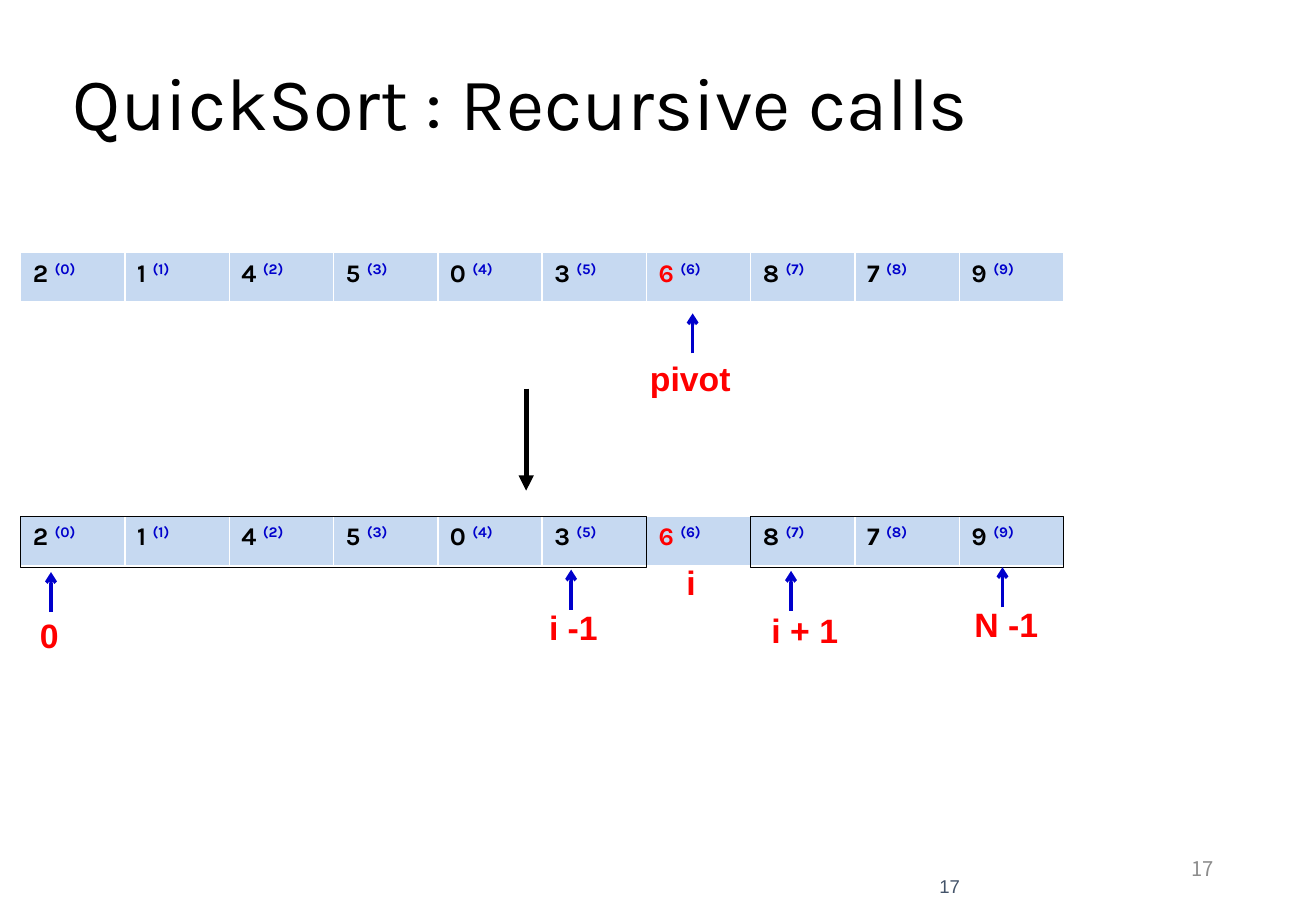
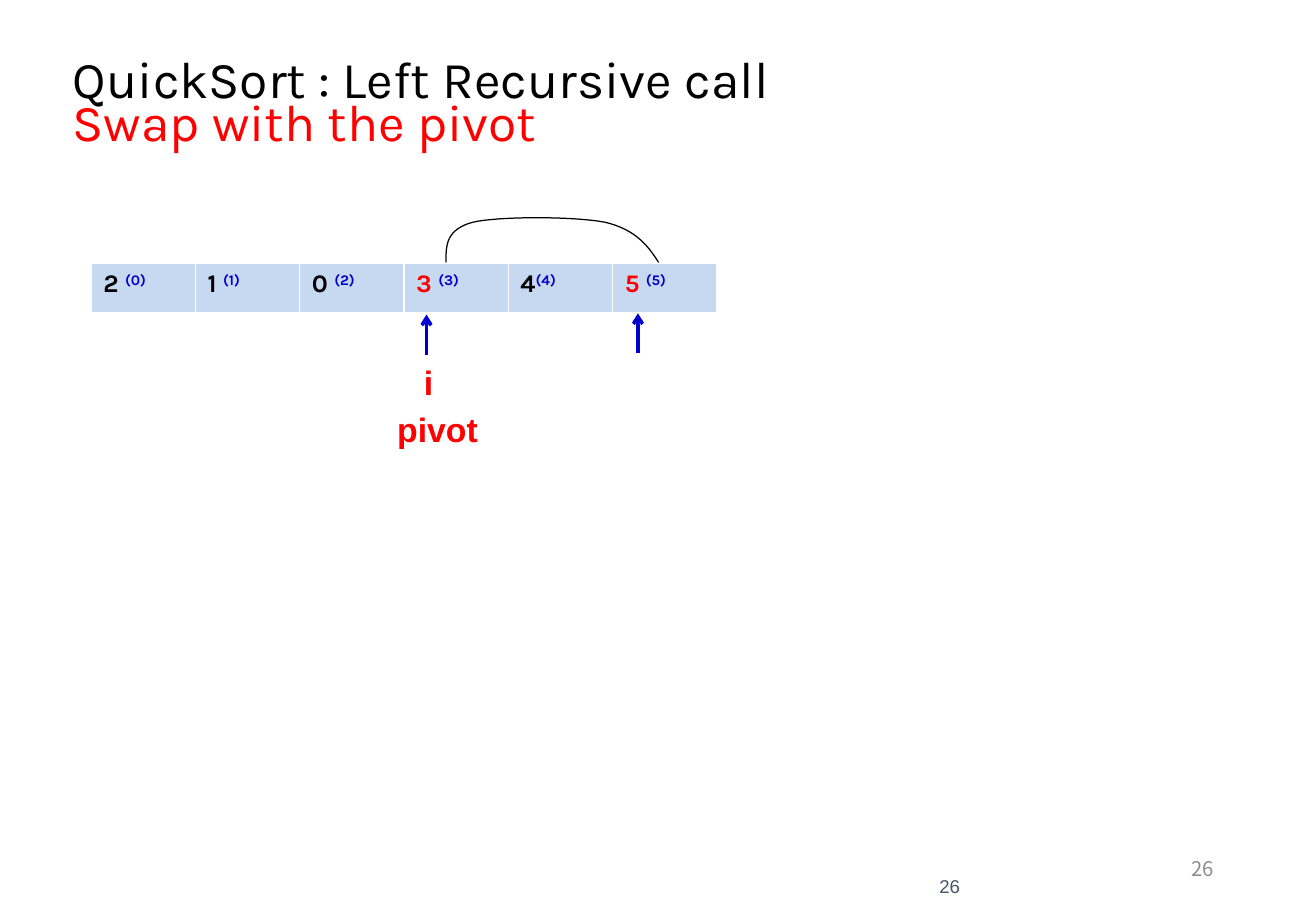
from dataclasses import dataclass

from lxml.etree import SubElement
from pptx import Presentation
from pptx.dml.color import RGBColor
from pptx.enum.shapes import MSO_CONNECTOR as Connector, MSO_SHAPE as Shape
from pptx.enum.text import MSO_ANCHOR as Anchor, MSO_AUTO_SIZE as AutoSize, PP_ALIGN as Align
from pptx.oxml import parse_xml
from pptx.oxml.ns import nsdecls, qn
from pptx.util import Inches, Pt


@dataclass(frozen=True)
class Theme:
    ink: str = "000000"
    accent: str = "FF0000"
    pointer: str = "0000CC"
    cell: str = "C6D9F1"
    border: str = "FFFFFF"
    page: str = "8C8C8C"
    footer: str = "44546A"
    heading_font: str = "Karla"
    label_font: str = "Arial"
    page_font: str = "Noto Sans CJK SC"
    cell_size: float = 15
    label_size: float = 20
    page_size: float = 12
    footer_size: float = 11
    outline: float = 0.75


THEME = Theme()
WIDTH, HEIGHT = 10.83, 7.5
COLUMN, ROW = 5.15 / 6, 0.42
POINTER_LENGTH = 0.33
LABEL_HEIGHT = 0.43
CURVE_STEPS = 16

# Arrays: left, top, cell values, red cells, outlined column ranges.
# Pointers: x, tip. Labels: text, left, top, width.
PARTITIONED = ["2 ", "1 ", "4 ", "5 ", "0 ", "3 ", "6 ", "8 ", "7 ", "9 "]
SLIDES = [
    {
        "number": 17,
        "title": [("QuickSort : Recursive calls", THEME.ink)],
        "title_size": 44,
        "title_spacing": 0.9,
        "arrays": [
            (0.17, 2.08, PARTITIONED, {6}, []),
            (0.17, 4.25, PARTITIONED, {6}, [(0, 6), (7, 10)]),
        ],
        "pointers": [(5.7, 2.58), (0.42, 4.71), (4.7, 4.69), (6.51, 4.7), (8.25, 4.67)],
        "labels": [
            ("pivot", 5.25, 2.9, 0.95),
            ("0", 0.23, 5.01, 0.36),
            ("i -1", 4.42, 4.95, 0.6),
            ("i", 5.55, 4.58, 0.28),
            ("i + 1", 6.25, 4.97, 0.75),
            ("N -1", 7.92, 4.92, 0.73),
        ],
        "steps": [((4.33, 3.2), (4.33, 4.04))],
        "swaps": [],
    },
    {
        "number": 26,
        "title": [("QuickSort : Left Recursive call", THEME.ink),
                  ("Swap with the pivot", THEME.accent)],
        "title_size": 30.6,
        "title_spacing": 0.7,
        "arrays": [(0.75, 2.17, ["2 ", "1 ", "0 ", "3 ", "4", "5 "], {3, 5}, [])],
        "pointers": [(3.51, 2.59), (5.25, 2.58)],
        "labels": [("i", 3.39, 2.93, 0.28), ("pivot", 3.17, 3.32, 0.95)],
        "steps": [],
        "swaps": [[
            ((5.42, 2.16), (5.33, 2.02), (5.23, 1.89), (4.98, 1.83)),
            ((4.98, 1.83), (4.72, 1.78), (4.1, 1.78), (3.89, 1.83)),
            ((3.89, 1.83), (3.67, 1.89), (3.67, 2.02), (3.67, 2.16)),
        ]],
    },
]


def rgb(color):
    return RGBColor.from_string(color)


def add_run(paragraph, text, *, font, size, color, bold=False, raised=False):
    run = paragraph.add_run()
    run.text = text
    run.font.name, run.font.size, run.font.bold = font, Pt(size), bold
    run.font.color.rgb = rgb(color)
    if raised:
        run.font._element.set("baseline", "30000")


def add_text(slide, lines, box, *, font, size, bold=False, align=Align.LEFT,
             anchor=Anchor.MIDDLE, spacing=None, wrap=True):
    """Write (text, color) lines as one paragraph with line breaks."""
    frame = slide.shapes.add_textbox(*map(Inches, box)).text_frame
    frame.word_wrap = wrap
    frame.auto_size = AutoSize.NONE if wrap else AutoSize.SHAPE_TO_FIT_TEXT
    frame.vertical_anchor = anchor
    paragraph = frame.paragraphs[0]
    paragraph.alignment = align
    if spacing:
        paragraph.line_spacing = spacing
    for index, (text, color) in enumerate(lines):
        if index:
            paragraph.add_line_break()
        add_run(paragraph, text, font=font, size=size, color=color, bold=bold)


def add_arrow(slide, start, end, color, width, head):
    arrow = slide.shapes.add_connector(
        Connector.STRAIGHT, *map(Inches, (*start, *end)))
    arrow.line.color.rgb = rgb(color)
    arrow.line.width = Pt(width)
    SubElement(arrow.line._get_or_add_ln(), qn("a:tailEnd"), type=head)
    SubElement(arrow._element.spPr, qn("a:effectLst"))


def outline_only(shape):
    shape.shadow.inherit = False
    shape.fill.background()
    shape.line.color.rgb = rgb(THEME.ink)
    shape.line.width = Pt(THEME.outline)


def set_borders(cell):
    properties = cell._tc.get_or_add_tcPr()
    for index, (side, width) in enumerate([("L", 1), ("R", 1), ("T", 1), ("B", 3)]):
        properties.insert(index, parse_xml(
            f'<a:ln{side} {nsdecls("a")} w="{Pt(width)}"><a:solidFill>'
            f'<a:srgbClr val="{THEME.border}"/></a:solidFill></a:ln{side}>'))


def add_array(slide, left, top, values, red, ranges):
    table = slide.shapes.add_table(
        1, len(values), *map(Inches, (left, top, COLUMN * len(values), ROW))).table
    table.first_row = table.horz_banding = False
    for index, value in enumerate(values):
        table.columns[index].width = Inches(COLUMN)
        cell = table.cell(0, index)
        cell.margin_left = cell.margin_right = Inches(0.1)
        cell.fill.solid()
        cell.fill.fore_color.rgb = rgb(THEME.cell)
        set_borders(cell)
        style = {"font": THEME.heading_font, "size": THEME.cell_size, "bold": True}
        paragraph = cell.text_frame.paragraphs[0]
        add_run(paragraph, value, color=THEME.accent if index in red else THEME.ink, **style)
        add_run(paragraph, f"({index})", color=THEME.pointer, raised=True, **style)
    for first, end in ranges:
        outline_only(slide.shapes.add_shape(Shape.RECTANGLE, *map(
            Inches, (left + first * COLUMN, top, (end - first) * COLUMN, ROW))))


def curve_point(controls, t):
    weights = ((1 - t) ** 3, 3 * t * (1 - t) ** 2, 3 * t * t * (1 - t), t ** 3)
    return tuple(Inches(sum(w * p[axis] for w, p in zip(weights, controls)))
                 for axis in (0, 1))


def add_swap(slide, curves):
    points = [curve_point(controls, step / CURVE_STEPS)
              for controls in curves for step in range(1, CURVE_STEPS + 1)]
    builder = slide.shapes.build_freeform(*curve_point(curves[0], 0))
    builder.add_line_segments(points, close=False)
    outline_only(builder.convert_to_shape())


def add_frame(slide, content):
    """Add the title and both page numbers."""
    add_text(slide, content["title"], (0.5, 0.42, 7.92, 0.92), font=THEME.heading_font,
             size=content["title_size"], spacing=content["title_spacing"])
    number = str(content["number"])
    add_text(slide, [(number, THEME.page)], (7.65, 6.95, 2.44, 0.4),
             font=THEME.page_font, size=THEME.page_size, align=Align.RIGHT)
    add_text(slide, [(number, THEME.footer)], (7.36, 7.17, 0.64, 0.25),
             font=THEME.label_font, size=THEME.footer_size, align=Align.RIGHT)


def build_slide(deck, content):
    slide = deck.slides.add_slide(deck.slide_layouts[6])
    add_frame(slide, content)
    for array in content["arrays"]:
        add_array(slide, *array)
    for x, tip in content["pointers"]:
        add_arrow(slide, (x, tip + POINTER_LENGTH), (x, tip), THEME.pointer, 2, "arrow")
    for start, end in content["steps"]:
        add_arrow(slide, start, end, THEME.ink, 3, "triangle")
    for curves in content["swaps"]:
        add_swap(slide, curves)
    for text, left, top, width in content["labels"]:
        add_text(slide, [(text, THEME.accent)], (left, top, width, LABEL_HEIGHT),
                 font=THEME.label_font, size=THEME.label_size, bold=True,
                 anchor=Anchor.TOP, wrap=False)


def main():
    deck = Presentation()
    deck.slide_width, deck.slide_height = Inches(WIDTH), Inches(HEIGHT)
    for content in SLIDES:
        build_slide(deck, content)
    deck.save("out.pptx")


if __name__ == "__main__":
    main()
